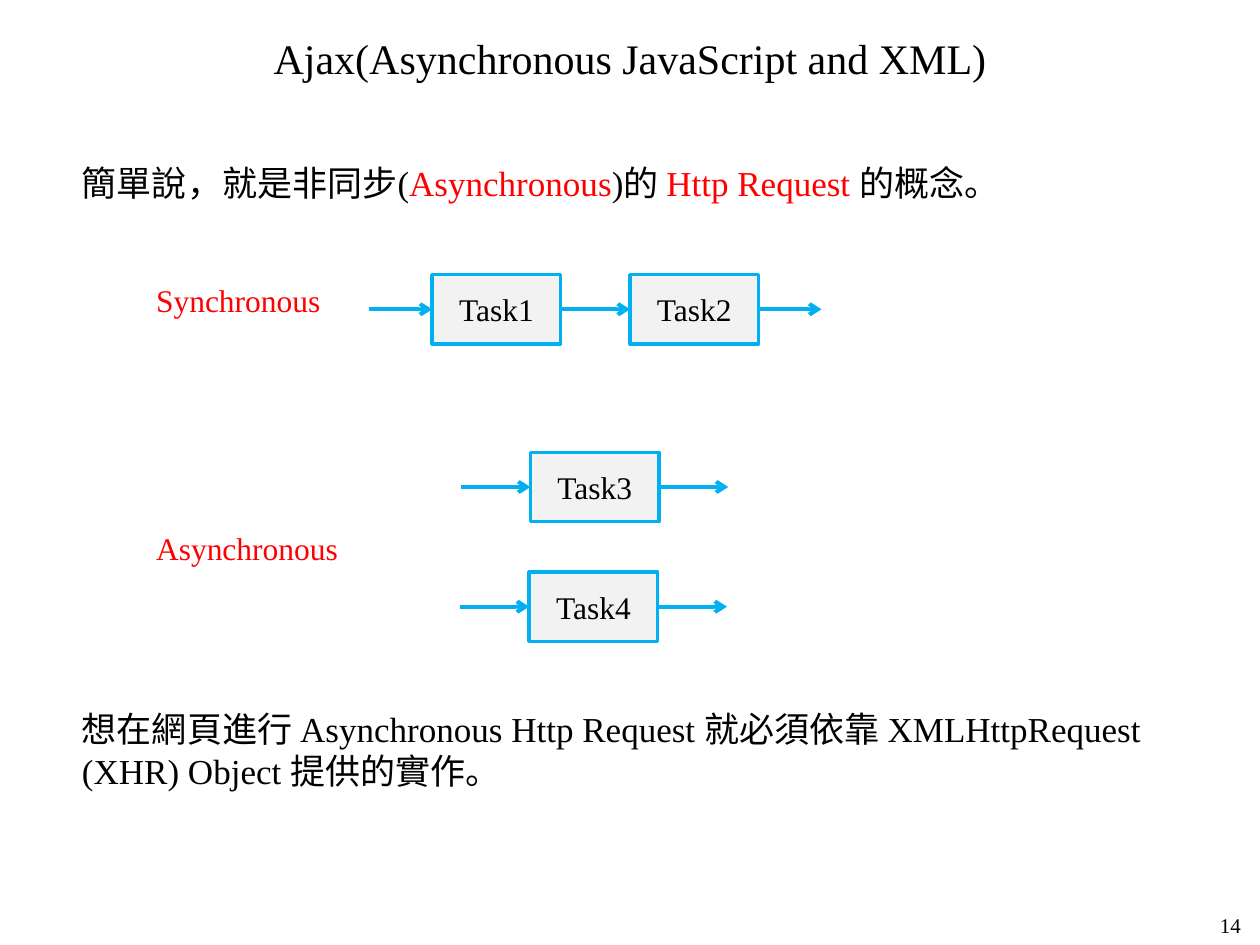
"""Build the slide that contrasts synchronous and asynchronous tasks."""
from dataclasses import dataclass

from lxml import etree
from pptx import Presentation
from pptx import util as u
from pptx.dml.color import RGBColor
from pptx.enum import shapes, text
from pptx.oxml.ns import qn


@dataclass(frozen=True)
class Theme:
    font: str = "Times New Roman"
    ink: str = "000000"
    accent: str = "FF0000"
    box_fill: str = "F2F2F2"
    line: str = "00B0F0"
    title_size: int = 24
    body_size: int = 20
    label_size: int = 18
    number_size: int = 12


THEME = Theme()
TOP, LEFT, BOTTOM, RIGHT = range(4)
BOX_WIDTH, BOX_HEIGHT = 1.02, 0.55
BODY = [
    [
        ("簡單說，就是非同步(", THEME.ink),
        ("Asynchronous", THEME.accent),
        (")的 ", THEME.ink),
        ("Http Request ", THEME.accent),
        ("的概念。", THEME.ink),
    ],
    [("想在網頁進行 Asynchronous Http Request 就必須依靠 XMLHttpRequest (XHR) Object 提供的實作。", THEME.ink)],
]
PARAGRAPH_GAPS = [0, 288]


def place(shape, left, top, width, height):
    shape.left, shape.top = u.Inches(left), u.Inches(top)
    shape.width, shape.height = u.Inches(width), u.Inches(height)


def style_run(run, size, color):
    run.font.name = THEME.font
    run.font.size = u.Pt(size)
    run.font.color.rgb = RGBColor.from_string(color)


def write_line(shape, words, size, color=THEME.ink, align=text.PP_ALIGN.CENTER):
    frame = shape.text_frame
    frame.text = words
    frame.word_wrap = True
    frame.paragraphs[0].alignment = align
    style_run(frame.paragraphs[0].runs[0], size, color)


def fill_title(slide, words):
    title = slide.shapes.title
    place(title, 0, 0, 10, 0.92)
    write_line(title, words, THEME.title_size)
    title.text_frame.auto_size = text.MSO_AUTO_SIZE.NONE
    title.text_frame.vertical_anchor = text.MSO_ANCHOR.MIDDLE


def fill_body(slide):
    body = slide.placeholders[1]
    place(body, 0.55, 1.23, 8.9, 5.83)
    frame = body.text_frame
    frame.auto_size = text.MSO_AUTO_SIZE.NONE
    frame.text = "\n".join("" for _ in BODY)
    for paragraph, pieces, gap in zip(frame.paragraphs, BODY, PARAGRAPH_GAPS):
        paragraph.space_before = u.Pt(gap)
        properties = paragraph._p.get_or_add_pPr()
        properties.set("marL", "0")
        properties.set("indent", "0")
        etree.SubElement(properties, qn("a:buNone"))
        for words, color in pieces:
            run = paragraph.add_run()
            run.text = words
            style_run(run, THEME.body_size, color)


def add_label(slide, words, left, top, width, height, size, color, align):
    label = slide.shapes.add_textbox(0, 0, 0, 0)
    place(label, left, top, width, height)
    write_line(label, words, size, color, align)
    return label


def add_task(slide, name, left, top):
    box = slide.shapes.add_shape(shapes.MSO_SHAPE.RECTANGLE, 0, 0, 0, 0)
    place(box, left, top, BOX_WIDTH, BOX_HEIGHT)
    box.shadow.inherit = False
    box.fill.solid()
    box.fill.fore_color.rgb = RGBColor.from_string(THEME.box_fill)
    box.line.color.rgb = RGBColor.from_string(THEME.line)
    box.line.width = u.Pt(2)
    box.text_frame.vertical_anchor = text.MSO_ANCHOR.MIDDLE
    write_line(box, name, THEME.label_size)
    return box


def add_arrow(slide, row, start=None, end=None, length=0.55):
    """Draw an arrow at the row's mid-height, joined to the given boxes."""
    middle = row.top + row.height // 2
    begin_x = start.left + start.width if start else end.left - u.Inches(length)
    end_x = end.left if end else begin_x + u.Inches(length)
    arrow = slide.shapes.add_connector(
        shapes.MSO_CONNECTOR.STRAIGHT, begin_x, middle, end_x, middle
    )
    if start:
        arrow.begin_connect(start, RIGHT)
    if end:
        arrow.end_connect(end, LEFT)
    arrow.line.color.rgb = RGBColor.from_string(THEME.line)
    arrow.line.width = u.Pt(2.25)
    etree.SubElement(arrow.line._get_or_add_ln(), qn("a:tailEnd"), type="arrow")
    etree.SubElement(arrow._element.spPr, qn("a:effectLst"))


def add_chain(slide, tasks, top, lead):
    """Draw tasks in a row with an arrow before, between and after them."""
    boxes = [add_task(slide, name, left, top) for name, left in tasks]
    for start, end in zip([None, *boxes], [*boxes, None]):
        add_arrow(slide, boxes[0], start, end, lead)


def main():
    presentation = Presentation()
    presentation.slide_width, presentation.slide_height = u.Inches(10), u.Inches(7.5)
    slide = presentation.slides.add_slide(presentation.slide_layouts[1])
    fill_title(slide, "Ajax(Asynchronous JavaScript and XML)")
    fill_body(slide)
    number = add_label(slide, "14", 9.53, 7.19, 0.47, 0.3,
                       THEME.number_size, THEME.ink, text.PP_ALIGN.CENTER)
    number.text_frame.vertical_anchor = text.MSO_ANCHOR.MIDDLE
    add_chain(slide, [("Task1", 3.43), ("Task2", 5)], 2.18, 0.5)
    add_chain(slide, [("Task3", 4.21)], 3.59, 0.55)
    add_chain(slide, [("Task4", 4.2)], 4.54, 0.55)
    for words, top in [("Synchronous", 2.18), ("Asynchronous", 4.15)]:
        add_label(slide, words, 1.14, top, 1.65, 0.4,
                  THEME.label_size, THEME.accent, text.PP_ALIGN.LEFT)
    presentation.save("out.pptx")


if __name__ == "__main__":
    main()
